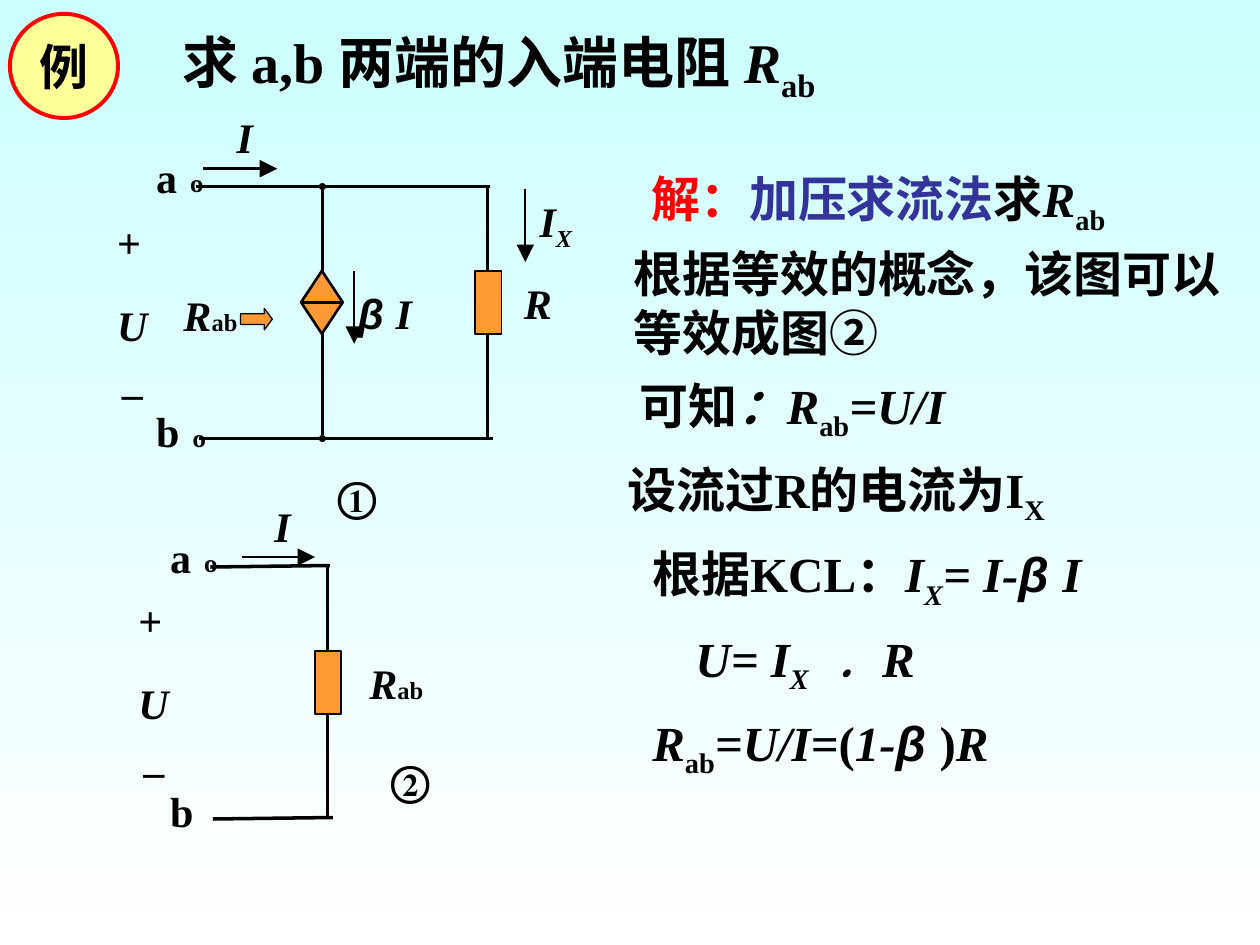
"""Build the input-resistance example slide with its two circuit diagrams."""
from lxml import etree
from pptx import Presentation
from pptx import util as u
from pptx.dml.color import RGBColor
from pptx.enum import shapes, text
from pptx.oxml.ns import qn

BLACK = RGBColor(0x00, 0x00, 0x00)
RED = RGBColor(0xFF, 0x00, 0x00)
BLUE = RGBColor(0x33, 0x33, 0x99)
ORANGE = RGBColor(0xFF, 0x99, 0x33)
YELLOW = RGBColor(0xFF, 0xFF, 0x99)
SKY = RGBColor(0xCC, 0xFF, 0xFF)
WHITE = RGBColor(0xFF, 0xFF, 0xFF)

PLAIN = {"name": "Times New Roman", "bold": True, "italic": False}
ITALIC = {"italic": True}
BETA = {"name": "Arial", "italic": True}
SUB = {"baseline": "-25000"}
ITALIC_SUB = ITALIC | SUB
SMALL = {"size": u.Pt(14)}
CENTER = {"alignment": text.PP_ALIGN.CENTER}
MIDDLE = CENTER | {"vertical_anchor": text.MSO_ANCHOR.MIDDLE}
NO_WRAP = {"word_wrap": False}

R_AB = [("R", ITALIC), ("ab", SUB)]
SMALL_R_AB = [("R", ITALIC), ("ab", SMALL)]
CURRENT = [("I", ITALIC)]
CURRENT_X = [("I", ITALIC), ("X", ITALIC_SUB)]
BETA_CURRENT = [("β ", BETA), ("I", ITALIC)]

TITLE = [("求 a,b 两端的入端电阻 ", {})] + R_AB
METHOD = [("解：", {"color": RED}), ("加压求流法", {"color": BLUE}), ("求", {})] + R_AB
CONCEPT = [[("根据等效的概念，该图可以", {})], [("等效成图②", {})]]
STEPS = [
    (12.65, 7.6, {}, [("可知", {}), ("：", ITALIC)] + R_AB + [("=U/I", ITALIC)]),
    (12.4, 9.63, NO_WRAP, [("设流过R的电流为I", {}), ("X", SUB)]),
    (12.9, 11.43, {}, [("根据KCL：", {})] + CURRENT_X + [("= I-", ITALIC)] + BETA_CURRENT),
    (13.77, 4.93, NO_WRAP, [("U= I", ITALIC), ("X", ITALIC_SUB), (" ﹒ R", ITALIC)]),
    (12.9, 8.89, {}, R_AB + [("=U/I=", ITALIC), ("(", {}), ("1-", ITALIC), ("β ", BETA),
                             (")", {}), ("R", ITALIC)]),
]
STEP_TOP, STEP_GAP, STEP_HEIGHT = 7.44, 1.7, 1.6

LABELS = [
    (4.52, 2.13, 1.07, 1.27, CURRENT, {}),
    (6.91, 5.16, 1.7, 2.29, BETA_CURRENT, MIDDLE),
    (10.31, 5.46, 1.07, 1.27, [("R", ITALIC)], {}),
    (10.62, 3.81, 1.17, 1.42, CURRENT_X, CENTER | NO_WRAP),
    (3.45, 5.72, 1.6, 1.27, SMALL_R_AB, NO_WRAP),
    (6.55, 9.37, 1.3, 1.27, [("①", {})], CENTER | NO_WRAP),
    (5.28, 9.96, 1.07, 1.27, CURRENT, {}),
    (7.19, 13.13, 1.6, 1.27, SMALL_R_AB, CENTER | NO_WRAP),
    (7.62, 15.09, 1.3, 1.27, [("②", {})], CENTER | NO_WRAP),
]
TERMINALS = [(2.9, 2.92), (3.18, 10.59)]
TERMINAL_DROP = 5.13
TERMINAL_RINGS = [(3.58, 3.23), (3.63, 8.38), (3.86, 10.9)]
VOLTAGES = [(2.11, 4.24, 0.97), (2.54, 11.86, 0.84)]
VOLTAGE_MARKS = [("+", 0, 0, {}), ("U", 0, 1.68, ITALIC), ("_", 0.1, 2.75, {})]

ARROW = {"tailEnd": ("triangle", "lg")}
NODES = {"headEnd": ("oval", "sm"), "tailEnd": ("oval", "sm")}
WIRES = [
    (4.09, 3.4, 5.59, 3.4, 2, ARROW),
    (3.96, 3.76, 9.88, 3.76, 2, {}),
    (4.01, 8.84, 9.93, 8.84, 2, {}),
    (6.5, 3.76, 6.5, 8.84, 2, NODES),
    (9.83, 3.76, 9.83, 8.84, 2, {}),
    (7.14, 5.46, 7.14, 6.93, 1, ARROW),
    (10.59, 3.81, 10.59, 5.28, 1, ARROW),
    (4.24, 11.43, 6.65, 11.4, 2, {}),
    (4.29, 16.51, 6.71, 16.48, 2, {}),
    (6.6, 11.43, 6.6, 16.51, 2, {}),
    (4.88, 11.23, 6.35, 11.23, 1, ARROW),
]
KIND = shapes.MSO_SHAPE
PARTS = [
    (KIND.RECTANGLE, 9.58, 5.46, 0.53, 1.27, 1),
    (KIND.FLOWCHART_SORT, 6.07, 5.46, 0.84, 1.27, 1.5),
    (KIND.RIGHT_ARROW, 4.85, 6.22, 0.64, 0.43, 0.75),
    (KIND.RECTANGLE, 6.35, 13.13, 0.53, 1.27, 1),
]


def add_runs(paragraph, runs, size):
    for words, changes in runs:
        run = paragraph.add_run()
        run.text = words
        values = PLAIN | {"size": u.Pt(size), "color": BLACK} | changes
        run.font.color.rgb = values.pop("color")
        baseline = values.pop("baseline", None)
        for name, value in values.items():
            setattr(run.font, name, value)
        if baseline:
            run._r.get_or_add_rPr().set("baseline", baseline)


def add_label(slide, left, top, width, height, paragraphs, size, layout):
    box = slide.shapes.add_textbox(*map(u.Cm, (left, top, width, height)))
    frame = box.text_frame
    values = {"word_wrap": True, "auto_size": text.MSO_AUTO_SIZE.SHAPE_TO_FIT_TEXT} | layout
    alignment = values.pop("alignment", None)
    for name, value in values.items():
        setattr(frame, name, value)
    for index, runs in enumerate(paragraphs):
        paragraph = frame.add_paragraph() if index else frame.paragraphs[0]
        paragraph.alignment = alignment
        add_runs(paragraph, runs, size)


def add_wire(slide, start_x, start_y, end_x, end_y, width, ends):
    points = map(u.Cm, (start_x, start_y, end_x, end_y))
    wire = slide.shapes.add_connector(shapes.MSO_CONNECTOR.STRAIGHT, *points)
    wire.line.color.rgb = BLACK
    wire.line.width = u.Pt(width)
    for tag, (kind, size) in ends.items():
        etree.SubElement(wire.line._get_or_add_ln(), qn("a:" + tag), type=kind, w=size, len=size)
    etree.SubElement(wire._element.spPr, qn("a:effectLst"))


def add_part(slide, kind, left, top, width, height, weight, fill=ORANGE, line=BLACK):
    shape = slide.shapes.add_shape(kind, *map(u.Cm, (left, top, width, height)))
    shape.shadow.inherit = False
    shape.fill.solid()
    shape.fill.fore_color.rgb = fill
    shape.line.color.rgb = line
    shape.line.width = u.Pt(weight)
    return shape


def paint_background(slide):
    fill = slide.background.fill
    fill.gradient()
    fill.gradient_angle = 270
    for stop, position, color in zip(fill.gradient_stops, (0, 1), (SKY, WHITE)):
        stop.position = position
        stop.color.rgb = color


def add_circuits(slide):
    for wire in WIRES:
        add_wire(slide, *wire)
    for part in PARTS:
        shape = add_part(slide, *part)
        if part[0] == KIND.RIGHT_ARROW:
            shape.adjustments[1] = 0.37
    for left, top, width, height, runs, layout in LABELS:
        add_label(slide, left, top, width, height, [runs], 24, layout)
    for left, top in TERMINALS:
        for index, name in enumerate("ab"):
            add_label(slide, left, top + index * TERMINAL_DROP, 0.84, 1.27, [[(name, {})]], 24, {})
    for left, top in TERMINAL_RINGS:
        add_label(slide, left, top, 0.51, 1.27, [[("º", {})]], 24, MIDDLE)
    for left, top, width in VOLTAGES:
        for mark, shift, drop, style in VOLTAGE_MARKS:
            add_label(slide, left + shift, top + drop, width, 1.27, [[(mark, style)]], 24, {})


def add_solution(slide):
    add_label(slide, 3.43, 0.43, 21.16, 1.8, [TITLE], 32, {})
    add_label(slide, 12.88, 3.28, 10.19, STEP_HEIGHT, [METHOD], 28, {})
    add_label(slide, 12.52, 4.78, 12.34, 2.64, CONCEPT, 28, NO_WRAP)
    for index, (left, width, layout, runs) in enumerate(STEPS):
        add_label(slide, left, STEP_TOP + index * STEP_GAP, width, STEP_HEIGHT, [runs], 28, layout)
    badge = add_part(slide, KIND.OVAL, 0.2, 0.28, 2.18, 2.1, 2.25, YELLOW, RED)
    badge.text_frame.word_wrap = False
    badge.text_frame.vertical_anchor = text.MSO_ANCHOR.MIDDLE
    paragraph = badge.text_frame.paragraphs[0]
    paragraph.alignment = text.PP_ALIGN.CENTER
    add_runs(paragraph, [("例", {})], 28)


def main():
    presentation = Presentation()
    presentation.slide_width, presentation.slide_height = u.Cm(25.4), u.Cm(19.05)
    slide = presentation.slides.add_slide(presentation.slide_layouts[6])
    paint_background(slide)
    add_circuits(slide)
    add_solution(slide)
    presentation.save("out.pptx")


if __name__ == "__main__":
    main()
